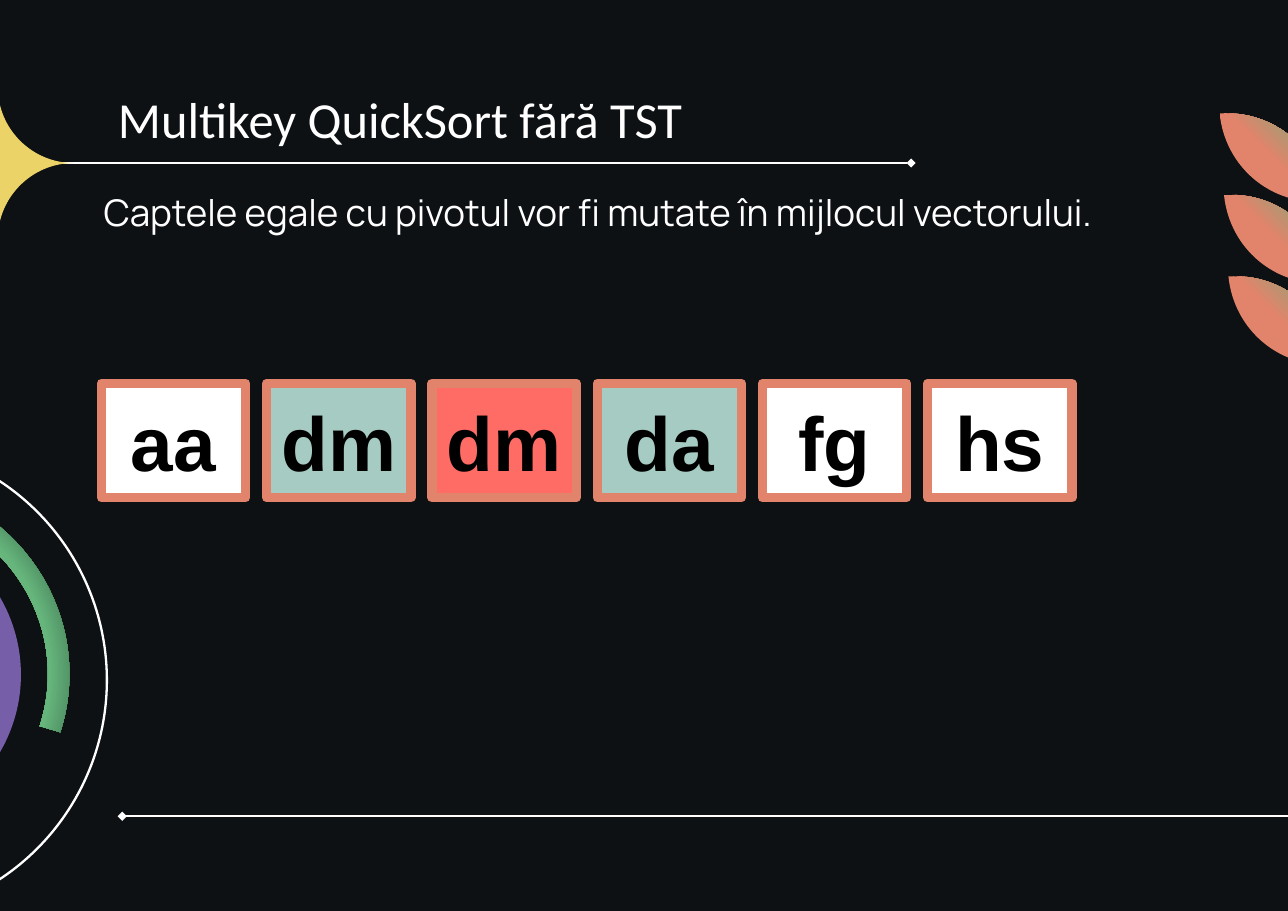
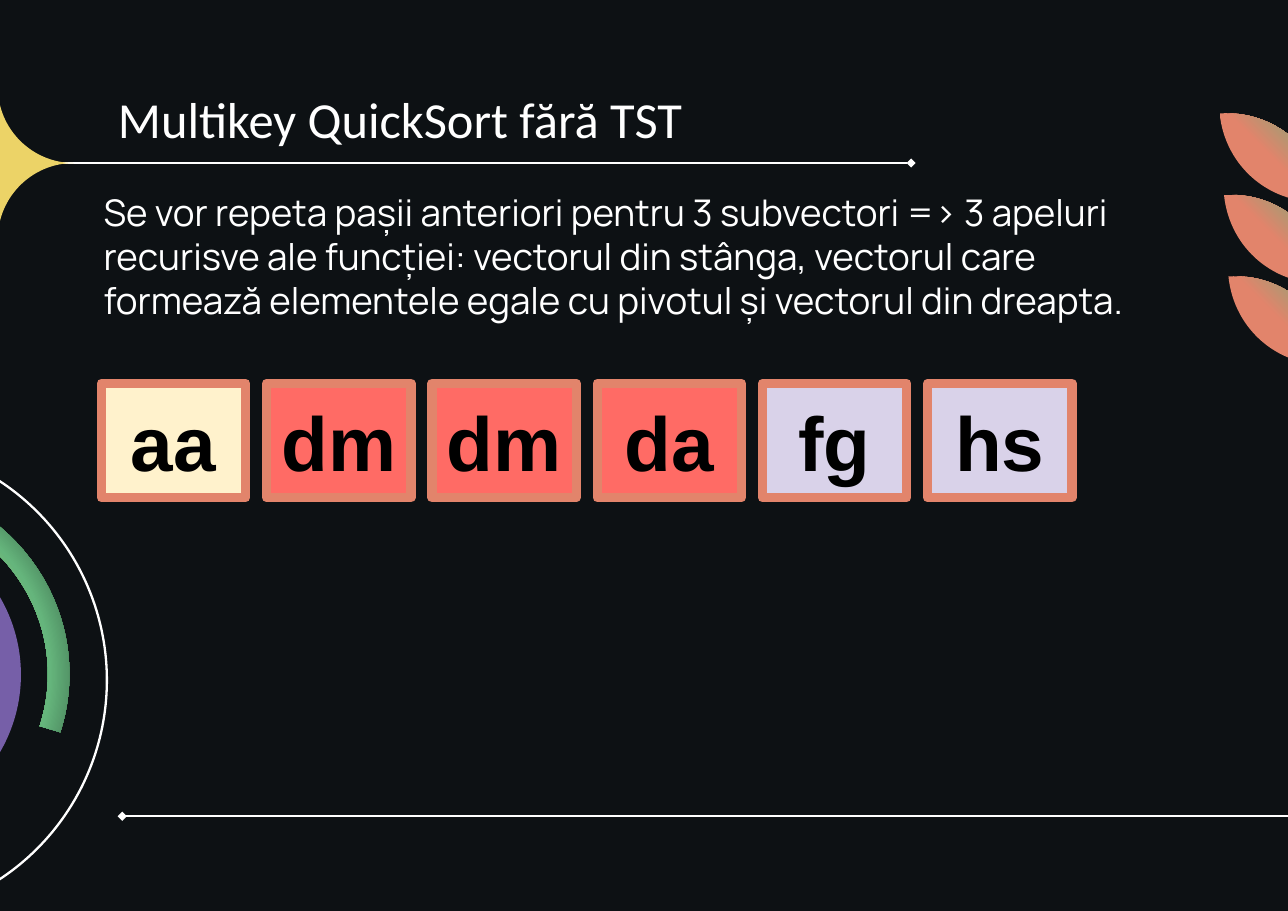
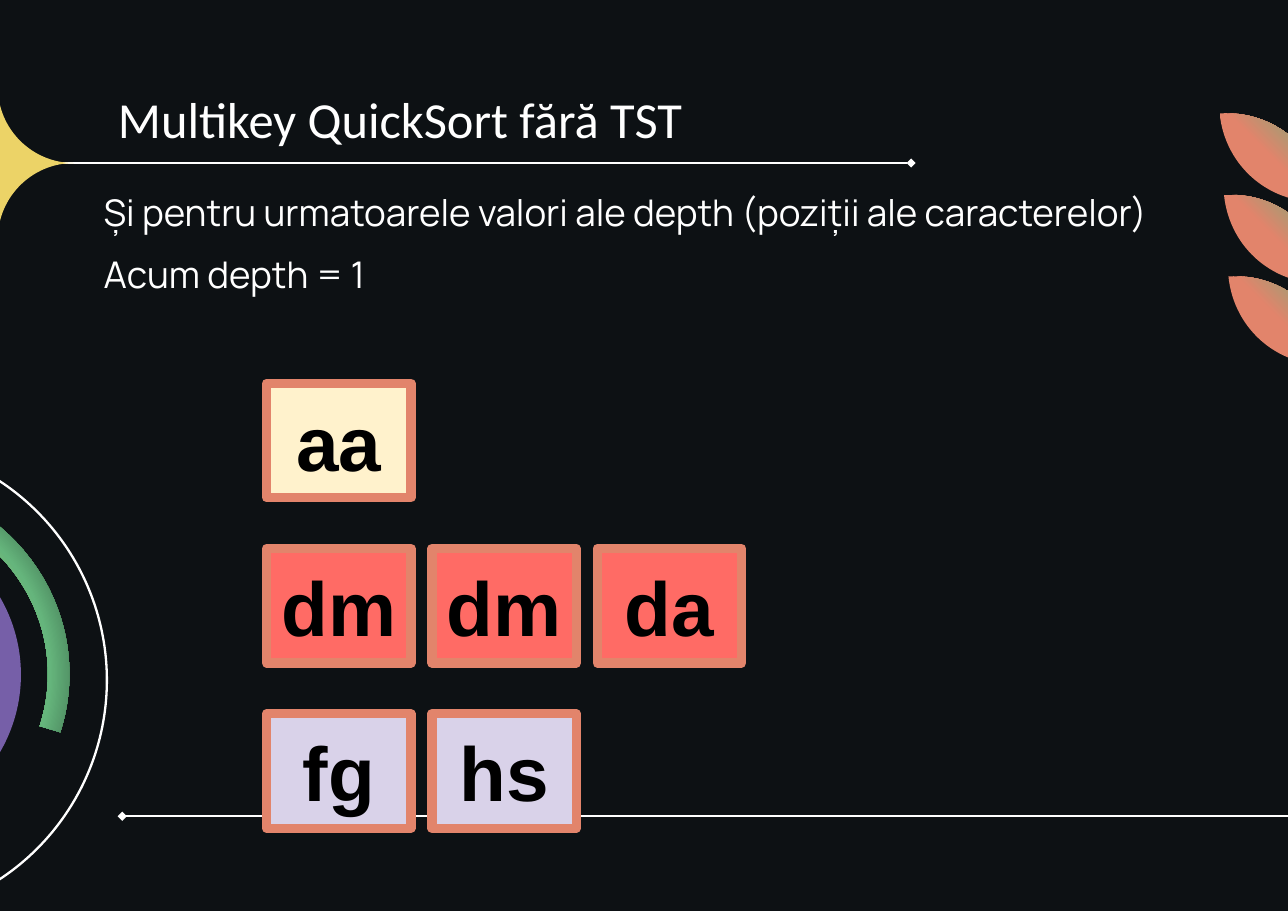
from lxml.etree import SubElement
from pptx import Presentation
from pptx.dml.color import RGBColor
from pptx.enum.shapes import MSO_CONNECTOR, MSO_SHAPE
from pptx.enum.text import MSO_ANCHOR, MSO_AUTO_SIZE, PP_ALIGN
from pptx.oxml.ns import qn
from pptx.util import Inches, Pt

NIGHT = RGBColor(0x0D, 0x11, 0x14)
WHITE = RGBColor(0xFF, 0xFF, 0xFF)
BLACK = RGBColor(0x00, 0x00, 0x00)
YELLOW = RGBColor(0xEC, 0xD3, 0x67)
PURPLE = RGBColor(0x76, 0x5F, 0xA8)
CORAL = RGBColor(0xE2, 0x84, 0x6B)
GREEN = RGBColor(0x65, 0xB5, 0x7C)
TEAL = RGBColor(0xA6, 0xCB, 0xC2)
RED = RGBColor(0xFF, 0x6B, 0x65)
CREAM = RGBColor(0xFF, 0xF2, 0xCC)
LILAC = RGBColor(0xD9, 0xD2, 0xE9)

WIDTH, HEIGHT = 11.69, 8.27
TITLE = "Multikey QuickSort fără TST"
CELL_LEFT, CELL_TOP, CELL_PITCH = 0.92, 3.48, 1.5
CELL_WIDTH, CELL_HEIGHT = 1.31, 1.04
LEAF = ((0, 0), (0.05, 0.49), (0.47, 0.84), (0.96, 0.8),
        (0.91, 0.32), (0.49, -0.03), (0, 0))


class Deck:
    def __init__(self):
        self.presentation = Presentation()
        self.presentation.slide_width = Inches(WIDTH)
        self.presentation.slide_height = Inches(HEIGHT)
        self.layout = self.presentation.slide_layouts[0]
        self.slide = None

    def add_slide(self, paragraphs):
        self.slide = self.presentation.slides.add_slide(self.layout)
        title, body = self.slide.placeholders
        self.fill_text(title, (0.97, 0.7, 7.22, 0.51), [TITLE], "Calibri", 33)
        self.fill_text(body, (0.84, 1.62, 9.86, 1.76), paragraphs, "Manrope", 24)

    def fill_text(self, shape, box, lines, font, size):
        shape.left, shape.top, shape.width, shape.height = map(Inches, box)
        frame = shape.text_frame
        self.set_frame(frame, MSO_ANCHOR.TOP)
        frame.text = "\n".join(lines)
        for index, paragraph in enumerate(frame.paragraphs):
            paragraph.space_before = Pt(12 if index else 0)
            paragraph.space_after = Pt(0)
            self.set_font(paragraph, PP_ALIGN.LEFT, font, size, WHITE, False)

    def set_frame(self, frame, anchor):
        frame.word_wrap = True
        frame.auto_size = MSO_AUTO_SIZE.NONE
        frame.vertical_anchor = anchor
        frame.margin_left = frame.margin_right = Inches(0.1)
        frame.margin_top = frame.margin_bottom = Inches(0.1)

    def set_font(self, paragraph, alignment, name, size, color, bold):
        paragraph.alignment = alignment
        font = paragraph.font
        font.name, font.size, font.bold = name, Pt(size), bold
        font.color.rgb = color

    def paint(self, shape, fill=None, line=None, width=1.5):
        shape.shadow.inherit = False
        if fill is None:
            shape.fill.background()
        else:
            shape.fill.solid()
            shape.fill.fore_color.rgb = fill
        if line is None:
            shape.line.fill.background()
        else:
            shape.line.color.rgb = line
            shape.line.width = Pt(width)

    def paint_radial(self, shape, stops, focus):
        self.paint(shape)
        shape.fill.gradient()
        gradient = shape.element.spPr.find(qn("a:gradFill"))
        for child in list(gradient):
            gradient.remove(child)
        stop_list = SubElement(gradient, qn("a:gsLst"))
        for position, color in stops:
            stop = SubElement(stop_list, qn("a:gs"), pos=str(position * 1000))
            SubElement(stop, qn("a:srgbClr"), val=str(color))
        radial = SubElement(gradient, qn("a:path"), path="circle")
        edges = {side: str(value * 1000) for side, value in zip("ltrb", focus)}
        SubElement(radial, qn("a:fillToRect"), **edges)

    def add_shape(self, kind, left, top, width, height):
        return self.slide.shapes.add_shape(
            kind, Inches(left), Inches(top), Inches(width), Inches(height))

    def add_curved_outline(self, points):
        start, *others = [(Inches(x), Inches(y)) for x, y in points]
        builder = self.slide.shapes.build_freeform(*start)
        builder.add_line_segments(others, close=True)
        shape = builder.convert_to_shape()
        outline = next(shape.element.spPr.iter(qn("a:path")))
        segments = outline.findall(qn("a:lnTo"))
        for index in range(0, len(segments), 3):
            curve = SubElement(outline, qn("a:cubicBezTo"))
            for segment in segments[index:index + 3]:
                curve.append(segment[0])
                outline.remove(segment)
        outline.append(outline.find(qn("a:close")))
        return shape

    def add_rule(self, start, end, y):
        connector = self.slide.shapes.add_connector(
            MSO_CONNECTOR.STRAIGHT, Inches(start), Inches(y), Inches(end), Inches(y))
        connector.line.color.rgb = WHITE
        connector.line.width = Pt(1.5)
        properties = connector.element.spPr
        SubElement(properties.find(qn("a:ln")), qn("a:tailEnd"), type="diamond")
        SubElement(properties, qn("a:effectLst"))
        return connector

    def add_star(self, x, y, radius, inner):
        directions = ((0, -1), (1, 0), (0, 1), (-1, 0), (0, -1))
        points = [(x, y - radius)]
        for (a, b), (c, d) in zip(directions, directions[1:]):
            points += [(x + a * inner, y + b * inner), (x + c * inner, y + d * inner),
                       (x + c * radius, y + d * radius)]
        star = self.add_curved_outline(points)
        self.paint(star, YELLOW)
        return star

    def add_leaf(self, x, y):
        leaf = self.add_curved_outline([(x + dx, y + dy) for dx, dy in LEAF])
        self.paint_radial(leaf, ((0, GREEN), (50, CORAL), (100, CORAL)), (100, 0, 0, 100))
        return leaf

    def add_planet(self):
        orbit = self.add_shape(MSO_SHAPE.OVAL, -3.36, 4.01, 4.33, 4.33)
        self.paint(orbit, line=WHITE)
        disc = self.add_shape(MSO_SHAPE.OVAL, -2.6, 4.73, 2.79, 2.79)
        self.paint(disc, PURPLE)
        ring = self.add_shape(MSO_SHAPE.BLOCK_ARC, -3.03, 4.35, 3.66, 3.54)
        for index, value in enumerate((148.98, 10.09, 0.055)):
            ring.adjustments[index] = value
        stops = ((0, CORAL), (36, YELLOW), (65, GREEN), (100, NIGHT))
        self.paint_radial(ring, stops, (50, 50, 50, 50))
        return [orbit, disc, ring]

    def decorate_layout(self):
        self.layout.background.fill.solid()
        self.layout.background.fill.fore_color.rgb = NIGHT
        tree = self.layout.shapes.element
        for footer in list(self.layout.placeholders)[2:]:
            tree.remove(footer.element)
        decorations = [self.add_rule(0.4, 8.27, 1.48), self.add_star(-0.02, 1.48, 0.69, 0.31)]
        decorations += self.add_planet()
        decorations += [self.add_leaf(11.07 + 0.04 * i, 1.03 + 0.74 * i) for i in range(3)]
        decorations.append(self.add_rule(WIDTH, 1.11, 7.41))
        for shape in decorations:
            tree.append(shape.element)

    def add_cells(self, cells, row=0, first_column=0):
        for column, (text, color) in enumerate(cells, first_column):
            cell = self.add_shape(
                MSO_SHAPE.RECTANGLE, CELL_LEFT + CELL_PITCH * column,
                CELL_TOP + CELL_PITCH * row, CELL_WIDTH, CELL_HEIGHT)
            self.paint(cell, color, CORAL, 6)
            self.set_frame(cell.text_frame, MSO_ANCHOR.MIDDLE)
            cell.text_frame.text = text
            self.set_font(cell.text_frame.paragraphs[0], PP_ALIGN.CENTER, "Arial", 50, BLACK, True)


def main():
    left = [("aa", CREAM)]
    equal = [("dm", RED), ("dm", RED), ("da", RED)]
    right = [("fg", LILAC), ("hs", LILAC)]

    deck = Deck()
    deck.add_slide(["Captele egale cu pivotul vor fi mutate în mijlocul vectorului."])
    deck.decorate_layout()
    deck.add_cells([("aa", WHITE), ("dm", TEAL), ("dm", RED),
                    ("da", TEAL), ("fg", WHITE), ("hs", WHITE)])

    deck.add_slide(["Se vor repeta pașii anteriori pentru 3 subvectori => 3 apeluri recurisve "
                    "ale funcției: vectorul din stânga, vectorul care formează elementele "
                    "egale cu pivotul și vectorul din dreapta."])
    deck.add_cells(left + equal + right)

    deck.add_slide(["Și pentru urmatoarele valori ale depth (poziții ale caracterelor)",
                    "Acum depth = 1"])
    for row, cells in enumerate((left, equal, right)):
        deck.add_cells(cells, row, first_column=1)

    deck.presentation.save("out.pptx")


if __name__ == "__main__":
    main()
